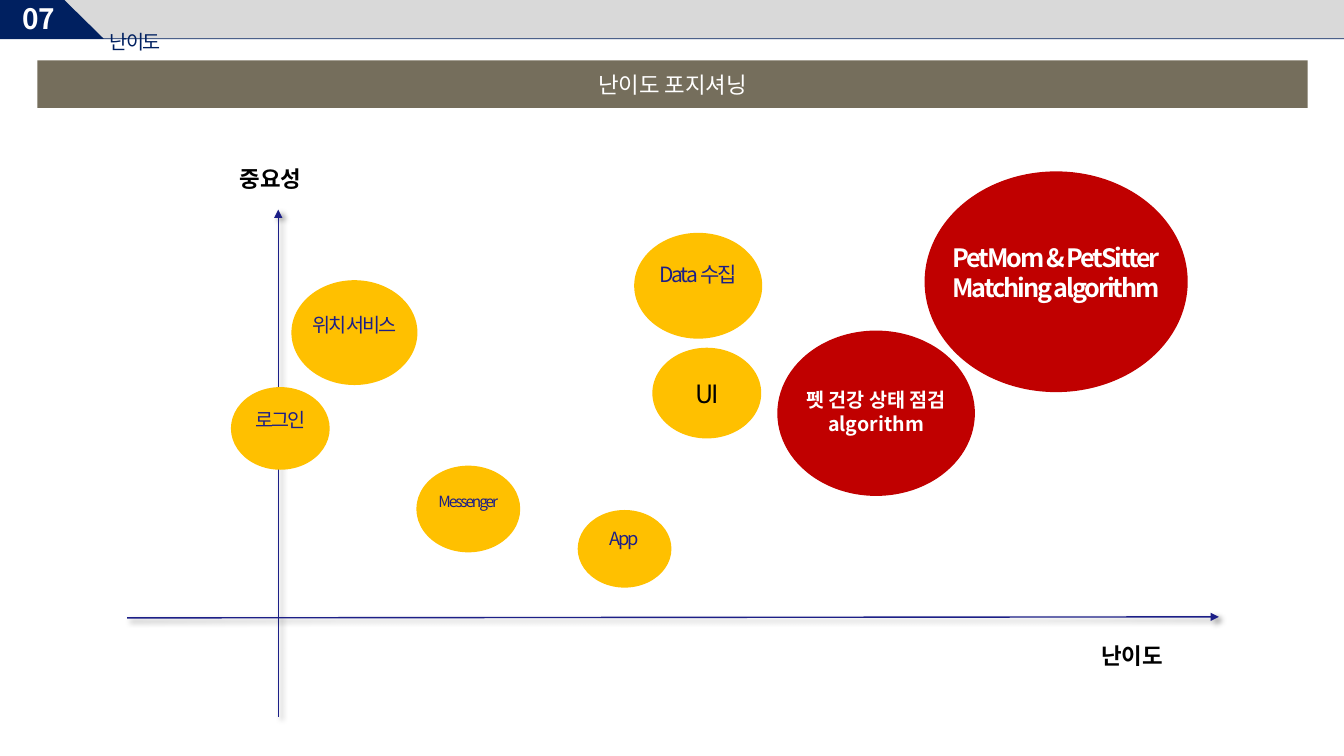
from lxml import etree
from pptx import Presentation
from pptx.dml.color import RGBColor
from pptx.enum.shapes import MSO_CONNECTOR, MSO_SHAPE
from pptx.enum.text import MSO_ANCHOR, PP_ALIGN
from pptx.oxml import parse_xml
from pptx.oxml.ns import nsdecls, qn
from pptx.util import Inches, Pt

FONT = "Noto Sans CJK KR"
COLORS = {
    "navy": "002060",
    "gray": "D9D9D9",
    "ink": "1C1F87",
    "red": "C00000",
    "amber": "FFC000",
    "taupe": "756E5C",
    "white": "FFFFFF",
    "black": "000000",
}
LABEL_OVERHANG = 0.2

BUBBLES = [
    ("PetMom & PetSitter\nMatching algorithm", (9.17, 1.7, 2.61, 2.19), "red", 2.35,
     dict(size=18, color="white", bold=True, spacing=-1.5)),
    ("위치 서비스", (2.89, 2.78, 1.25, 1.04), "amber", 3.05,
     dict(size=14, color="ink", spacing=-1.5)),
    ("Messenger", (4.13, 4.62, 1.03, 0.86), "amber", 4.83,
     dict(size=11, color="ink", spacing=-1.5)),
    ("UI", (6.47, 3.45, 1.08, 0.9), "amber", None,
     dict(size=18, color="black", spacing=-1.5, anchor=MSO_ANCHOR.MIDDLE)),
    ("App", (5.73, 5.06, 0.93, 0.77), "amber", 5.18,
     dict(size=13, color="ink", spacing=-1.5)),
    ("로그인", (2.29, 3.84, 0.98, 0.82), "amber", 4.0,
     dict(size=14, color="ink", spacing=-1.5)),
    ("Data 수집", (6.29, 2.31, 1.27, 1.05), "amber", 2.55,
     dict(size=15, color="ink", spacing=-1.5)),
    ("펫 건강 상태 점검 algorithm", (7.71, 3.28, 1.96, 1.64), "red", 3.8,
     dict(size=14, color="white", bold=True)),
]


def rgb(color):
    return RGBColor.from_string(COLORS[color])


def write(shape, text, size, color, bold=False, spacing=0,
          align=PP_ALIGN.CENTER, anchor=MSO_ANCHOR.TOP, side_margin=0.1):
    frame = shape.text_frame
    frame.word_wrap = True
    frame.vertical_anchor = anchor
    frame.margin_left = frame.margin_right = Inches(side_margin)
    frame.margin_top = frame.margin_bottom = Inches(0.05)
    frame.text = text
    for paragraph in frame.paragraphs:
        paragraph.alignment = align
        for run in paragraph.runs:
            run.font.name = FONT
            run.font.size = Pt(size)
            run.font.bold = bold
            run.font.color.rgb = rgb(color)
            properties = run.font._element
            properties.set("spc", str(round(spacing * 100)))
            east_asian = etree.SubElement(properties, qn("a:ea"))
            east_asian.set("typeface", FONT)


def add_label(slide, box, text, **text_format):
    label = slide.shapes.add_textbox(*map(Inches, box))
    write(label, text, **text_format)


def add_filled(slide, preset, box, color):
    shape = slide.shapes.add_shape(preset, *map(Inches, box))
    shape.shadow.inherit = False
    shape.fill.solid()
    shape.fill.fore_color.rgb = rgb(color)
    shape.line.fill.background()
    return shape


def add_bubble(slide, text, box, color, label_top, text_format):
    bubble = add_filled(slide, MSO_SHAPE.OVAL, box, color)
    if label_top is None:
        write(bubble, text, **text_format)
        return
    left, top, width, height = box
    label_box = (left - LABEL_OVERHANG / 2, label_top,
                 width + LABEL_OVERHANG, height / 2)
    add_label(slide, label_box, text, **text_format)


def add_axis(slide, start, end):
    axis = slide.shapes.add_connector(
        MSO_CONNECTOR.STRAIGHT, *map(Inches, start + end))
    axis.line.color.rgb = rgb("ink")
    axis.line.width = Pt(1)
    arrowhead = etree.SubElement(axis.line._get_or_add_ln(), qn("a:tailEnd"))
    arrowhead.set("type", "triangle")
    axis._element.spPr.append(parse_xml(
        f'<a:effectLst {nsdecls("a")}>'
        f'<a:outerShdw blurRad="{Pt(4)}" dist="{Pt(3)}" dir="2700000" '
        'algn="tl" rotWithShape="0">'
        f'<a:srgbClr val="{COLORS["black"]}"><a:alpha val="40000"/></a:srgbClr>'
        '</a:outerShdw></a:effectLst>'))


def add_header(slide):
    add_filled(slide, MSO_SHAPE.RECTANGLE, (0, -0.01, 13.33, 0.4), "navy")
    add_label(slide, (0.12, -0.03, 2.22, 0.44), "07", size=20, color="white",
              bold=True, align=PP_ALIGN.LEFT)
    strip = add_filled(slide, MSO_SHAPE.PARALLELOGRAM,
                       (0.63, -0.01, 13.24, 0.39), "gray")
    strip.adjustments[0] = 1.02
    strip._element.spPr.xfrm.set("flipV", "1")
    add_label(slide, (1.09, 0.25, 0.8, 0.34), "난이도", size=14, color="navy",
              spacing=-1.1, align=PP_ALIGN.LEFT, side_margin=0)


def set_banner(slide):
    banner = slide.shapes.title
    banner.left, banner.top, banner.width, banner.height = map(
        Inches, (0.37, 0.6, 12.6, 0.47))
    banner.fill.solid()
    banner.fill.fore_color.rgb = rgb("taupe")
    write(banner, "난이도 포지셔닝", size=16, color="white",
          anchor=MSO_ANCHOR.MIDDLE)


def main():
    deck = Presentation()
    deck.slide_width = Inches(13.33)
    deck.slide_height = Inches(7.5)
    slide = deck.slides.add_slide(deck.slide_layouts[5])

    set_banner(slide)
    add_header(slide)
    add_axis(slide, (2.76, 7.11), (2.76, 2.08))
    add_axis(slide, (1.26, 6.13), (12.09, 6.12))
    for bubble in BUBBLES:
        add_bubble(slide, *bubble)
    add_label(slide, (9.5, 6.14, 3.46, 0.73), "난이도", size=16, color="black",
              bold=True, anchor=MSO_ANCHOR.MIDDLE)
    add_label(slide, (2.28, 1.59, 0.93, 0.37), "중요성", size=16, color="black",
              bold=True, align=PP_ALIGN.LEFT)

    deck.save("out.pptx")


if __name__ == "__main__":
    main()
